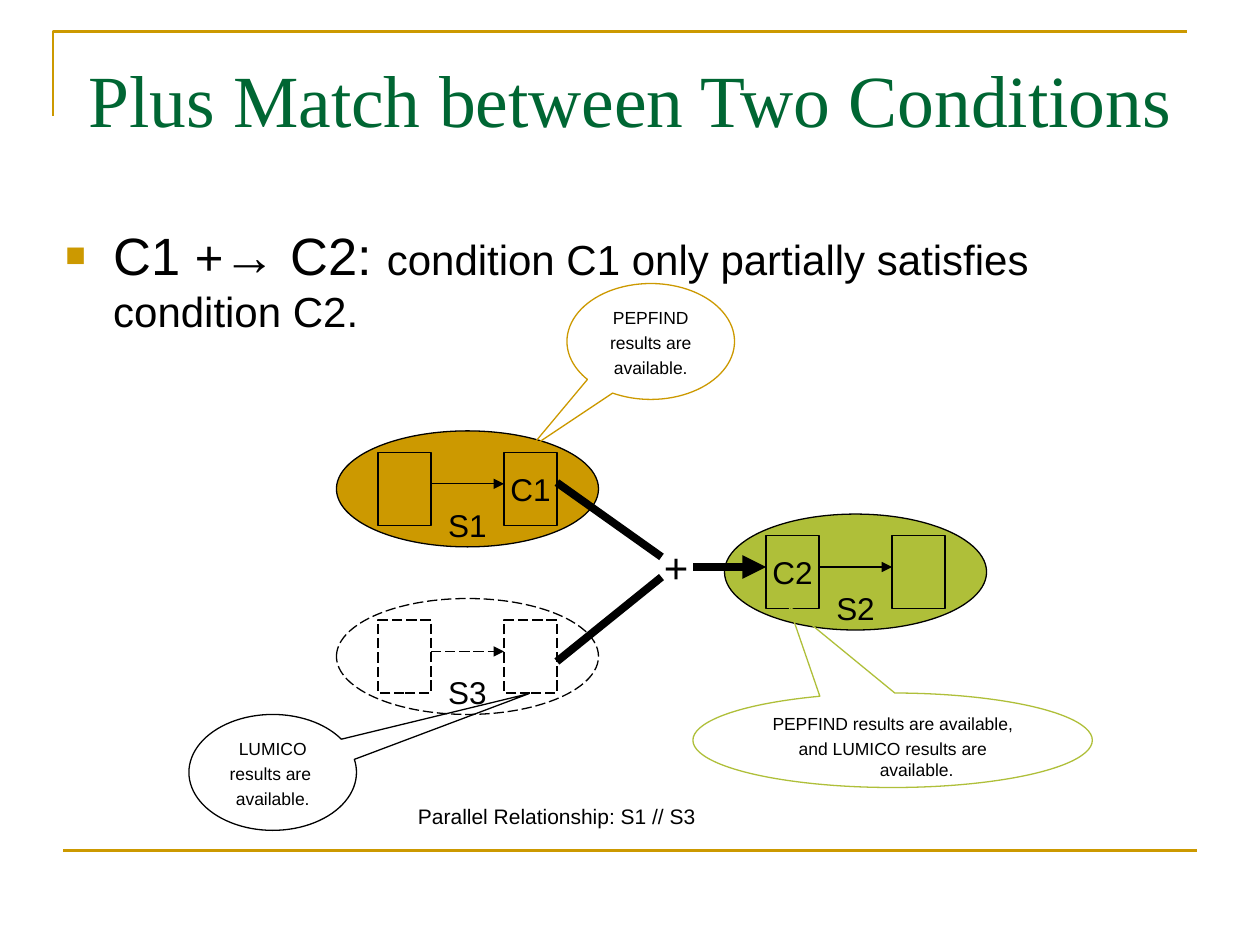
from dataclasses import dataclass

from lxml.etree import SubElement
from pptx import Presentation
from pptx.dml.color import RGBColor
from pptx.enum.dml import MSO_LINE_DASH_STYLE as Dash
from pptx.enum.shapes import MSO_CONNECTOR as Connector, MSO_SHAPE as Preset
from pptx.enum.text import MSO_ANCHOR as Anchor, PP_ALIGN as Align
from pptx.oxml.ns import qn
from pptx.util import Inches, Pt


@dataclass(frozen=True)
class Theme:
    """Hold the colours, fonts and sizes of the slide."""
    gold: RGBColor = RGBColor(0xCC, 0x99, 0x00)
    green: RGBColor = RGBColor(0xAF, 0xBF, 0x39)
    title_color: RGBColor = RGBColor(0x00, 0x66, 0x33)
    black: RGBColor = RGBColor(0, 0, 0)
    title_font: str = "Times New Roman"
    body_font: str = "Arial"
    title_size: float = 42
    term_size: float = 30
    plus_size: float = 28
    body_size: float = 24
    label_size: float = 18
    caption_size: float = 12
    callout_size: float = 10
    thin: float = 0.75
    frame: float = 1.5
    thick: float = 4.5


THEME = Theme()


def set_font(font, size, color=THEME.black, name=THEME.body_font):
    """Set the typeface, size and colour of a font."""
    font.name, font.size = name, Pt(size)
    font.color.rgb = color


def set_hanging(paragraph):
    """Give a paragraph a hanging indent and return its properties."""
    properties = paragraph._p.get_or_add_pPr()
    properties.set("marL", str(Inches(0.38)))
    properties.set("indent", str(-Inches(0.38)))
    return properties


def style_shape(shape, line_color, fill=None, dash=None, width=THEME.thin):
    """Set the fill and outline of a shape without a shadow."""
    shape.shadow.inherit = False
    if fill is None:
        shape.fill.background()
    else:
        shape.fill.solid()
        shape.fill.fore_color.rgb = fill
    shape.line.color.rgb = line_color
    shape.line.width = Pt(width)
    if dash:
        shape.line.dash_style = dash


def add_line(slide, start, end, width=THEME.thin, color=THEME.black, arrow=False, dash=None):
    """Draw a straight line, with an arrowhead at its end if asked."""
    points = [Inches(value) for value in (*start, *end)]
    line = slide.shapes.add_connector(Connector.STRAIGHT, *points)
    line.line.color.rgb = color
    line.line.width = Pt(width)
    if dash:
        line.line.dash_style = dash
    if arrow:
        SubElement(line.line._get_or_add_ln(), qn("a:tailEnd"), type="triangle")
    SubElement(line._element.spPr, qn("a:effectLst"))


def add_frame(slide, left, top, width, height):
    """Draw the corner rule and the bottom rule."""
    builder = slide.shapes.build_freeform(Inches(left), Inches(top + height))
    corner = [(Inches(left), Inches(top)), (Inches(left + width), Inches(top))]
    builder.add_line_segments(corner, close=False)
    style_shape(builder.convert_to_shape(), THEME.gold, width=THEME.frame)
    add_line(slide, (0.5, 6.75), (9.5, 6.75), THEME.frame, THEME.gold)


def add_title(slide, left, top, width, height):
    """Move and format the title placeholder."""
    title = slide.shapes.title
    title.left, title.top = Inches(left), Inches(top)
    title.width, title.height = Inches(width), Inches(height)
    frame = title.text_frame
    frame.text = "Plus Match between Two Conditions"
    frame.vertical_anchor = Anchor.TOP
    frame.margin_top = Inches(0.13)
    paragraph = frame.paragraphs[0]
    paragraph.alignment = Align.CENTER
    set_font(paragraph.font, THEME.title_size, THEME.title_color, THEME.title_font)


def add_text(slide, box, text, size, align=Align.LEFT):
    """Add a wrapping one-paragraph text box and return its paragraph."""
    frame = slide.shapes.add_textbox(*map(Inches, box)).text_frame
    frame.word_wrap = True
    paragraph = frame.paragraphs[0]
    paragraph.text = text
    paragraph.alignment = align
    set_font(paragraph.font, size)
    return paragraph


def add_definition(slide, box):
    """Add the bulleted definition of a plus match."""
    frame = slide.shapes.add_textbox(*map(Inches, box)).text_frame
    frame.word_wrap = True
    frame.margin_top = Inches(0.1)
    paragraph = frame.paragraphs[0]
    properties = set_hanging(paragraph)
    bullet_color = SubElement(properties, qn("a:buClr"))
    SubElement(bullet_color, qn("a:srgbClr"), val=str(THEME.gold))
    SubElement(properties, qn("a:buSzPct"), val="65000")
    SubElement(properties, qn("a:buFont"), typeface=THEME.body_font)
    SubElement(properties, qn("a:buChar"), char="■")
    for text, size in (
        ("C1 ", THEME.term_size),
        ("+", THEME.plus_size),
        ("→ C2: ", THEME.term_size),
        ("condition C1 only partially satisfies condition C2.", THEME.body_size),
    ):
        run = paragraph.add_run()
        run.text = text
        set_font(run.font, size)


def add_labelled(slide, preset, box, label, fill, dash):
    """Add an outlined shape with an optional centred label."""
    shape = slide.shapes.add_shape(preset, *map(Inches, box))
    style_shape(shape, THEME.black, fill, dash)
    if label:
        frame = shape.text_frame
        frame.text = label
        frame.word_wrap = False
        frame.vertical_anchor = Anchor.MIDDLE
        frame.paragraphs[0].alignment = Align.CENTER
        set_font(frame.paragraphs[0].font, THEME.label_size)
    return shape


def add_stage(slide, left, top, label, conditions, fill=None, dash=None):
    """Draw an ellipse holding two condition boxes joined by an arrow."""
    oval = add_labelled(slide, Preset.OVAL, (left, top, 2.08, 0.92), label, fill, dash)
    oval.text_frame.margin_top = Inches(0.57)
    oval.text_frame.margin_bottom = 0
    for index, condition in enumerate(conditions):
        box = (left + 0.33 + index, top + 0.17, 0.42, 0.58)
        add_labelled(slide, Preset.RECTANGLE, box, condition, fill, dash)
    middle = top + 0.42
    add_line(slide, (left + 0.75, middle), (left + 1.33, middle), arrow=True, dash=dash)


def add_callout(slide, box, pointer, color, lines):
    """Add an elliptical callout with centred lines of text."""
    callout = slide.shapes.add_shape(Preset.OVAL_CALLOUT, *map(Inches, box))
    callout.adjustments[0], callout.adjustments[1] = pointer
    style_shape(callout, color)
    frame = callout.text_frame
    frame.word_wrap = True
    frame.vertical_anchor = Anchor.TOP
    frame.text = "\n".join(lines)
    for index, paragraph in enumerate(frame.paragraphs):
        set_hanging(paragraph)
        paragraph.alignment = Align.CENTER
        if index:
            paragraph.space_before = Pt(2.5)
        set_font(paragraph.font, THEME.callout_size)


def add_diagram(slide):
    """Draw the stages, the plus junction and the callouts."""
    add_stage(slide, 2.67, 3.42, "S1", ("", "C1"), THEME.gold)
    add_stage(slide, 5.75, 4.08, "S2", ("C2", ""), THEME.green)
    add_stage(slide, 2.67, 4.75, "S3", ("", ""), dash=Dash.LONG_DASH)
    add_text(slide, (5.17, 4.25, 0.58, 0.5), "+", THEME.body_size)
    add_line(slide, (5.5, 4.5), (6.08, 4.5), THEME.thick, arrow=True)
    add_line(slide, (4.42, 3.83), (5.25, 4.42), THEME.thick)
    add_line(slide, (4.42, 5.25), (5.25, 4.58), THEME.thick)
    add_callout(slide, (4.5, 2.25, 1.33, 0.92), (-0.72, 0.92), THEME.gold,
                ("PEPFIND", "results are", "available."))
    add_callout(slide, (1.5, 5.67, 1.33, 0.92), (1.53, -0.68), THEME.black,
                ("LUMICO", "results are ", "available."))
    add_callout(slide, (5.5, 5.5, 3.17, 0.75), (-0.26, -1.42), THEME.green,
                ("PEPFIND results are available,", "and LUMICO results are available."))
    add_text(slide, (2.92, 6.33, 3, 0.3), "Parallel Relationship: S1 // S3",
             THEME.caption_size, Align.CENTER)


def main():
    """Build and save the presentation."""
    presentation = Presentation()
    presentation.slide_width, presentation.slide_height = Inches(10), Inches(7.5)
    slide = presentation.slides.add_slide(presentation.slide_layouts[5])
    add_frame(slide, 0.42, 0.25, 9, 0.67)
    add_title(slide, 0.5, 0.3, 9, 1.25)
    add_definition(slide, (0.42, 1.67, 9, 4.96))
    add_diagram(slide)
    presentation.save("out.pptx")


if __name__ == "__main__":
    main()
